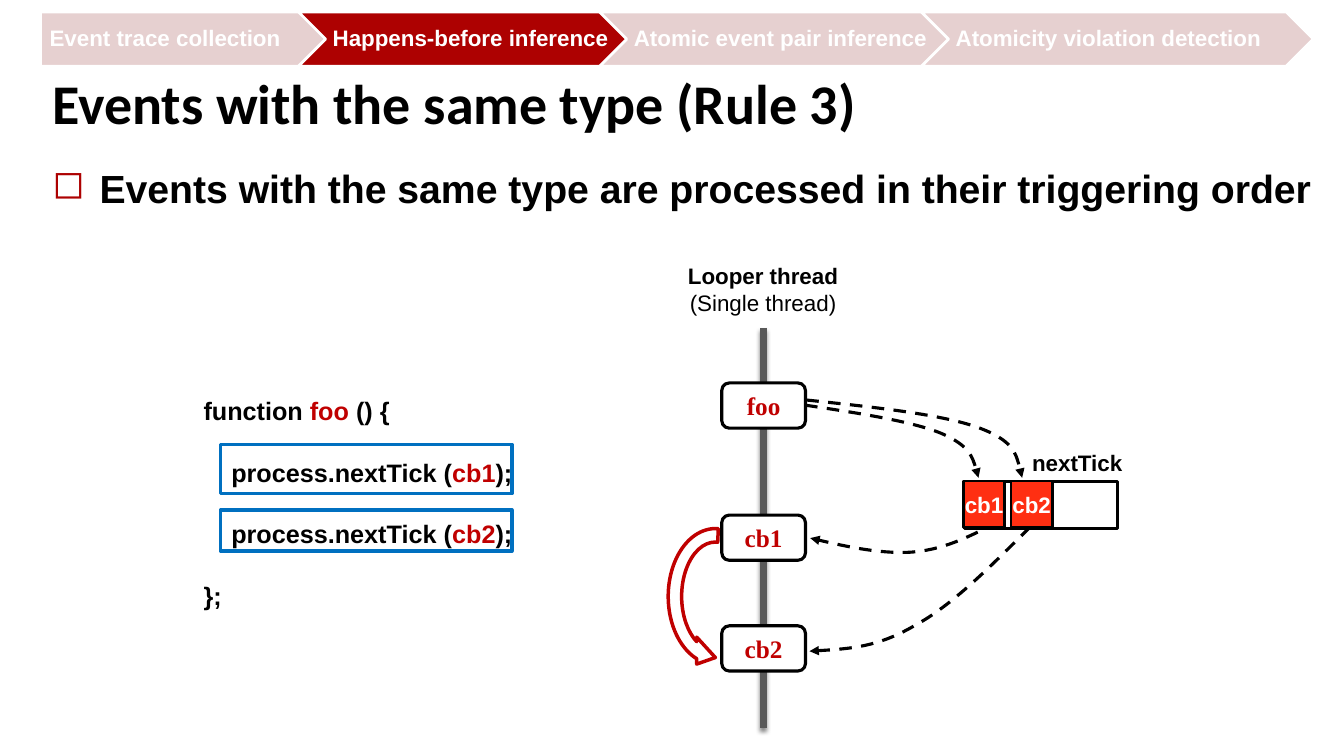
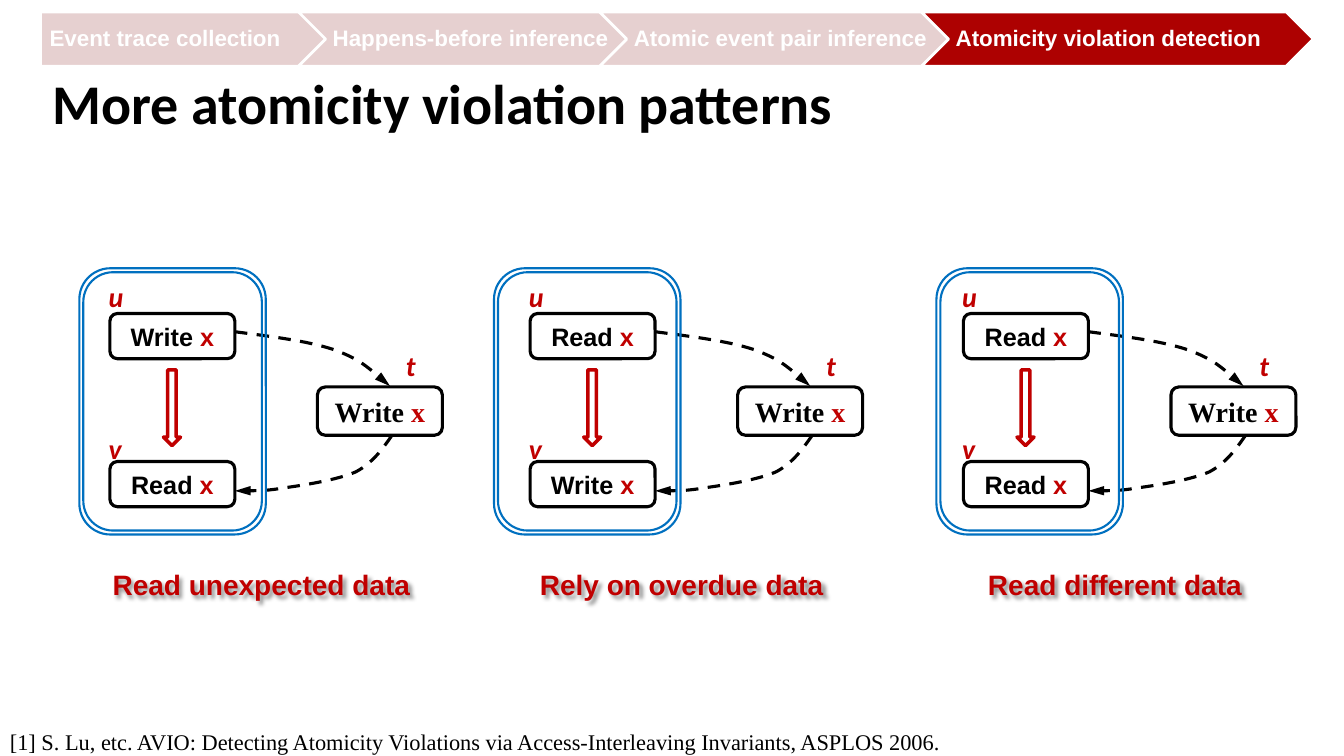
from dataclasses import dataclass
from typing import NamedTuple, Optional

from lxml import etree
from pptx import Presentation
from pptx.dml.color import RGBColor
from pptx.enum.dml import MSO_LINE
from pptx.enum.shapes import MSO_CONNECTOR, MSO_SHAPE
from pptx.enum.text import MSO_ANCHOR, PP_ALIGN
from pptx.oxml.ns import qn
from pptx.util import Cm, Pt

RECT, ROUNDED = MSO_SHAPE.RECTANGLE, MSO_SHAPE.ROUNDED_RECTANGLE
PLATE, CHEVRON = MSO_SHAPE.PENTAGON, MSO_SHAPE.CHEVRON
DOWN_ARROW, CIRCULAR_ARROW = MSO_SHAPE.DOWN_ARROW, MSO_SHAPE.CIRCULAR_ARROW
FRAME = MSO_SHAPE.FLOWCHART_ALTERNATE_PROCESS
STRAIGHT, DASH = MSO_CONNECTOR.STRAIGHT, MSO_LINE.DASH
TOP, MIDDLE = MSO_ANCHOR.TOP, MSO_ANCHOR.MIDDLE
LEFT, CENTER = PP_ALIGN.LEFT, PP_ALIGN.CENTER

COLORS = {
    "black": "000000",
    "white": "FFFFFF",
    "active": "AD0101",
    "inactive": "E6D0D0",
    "accent": "C00000",
    "blue": "0070C0",
    "thread": "595959",
    "queued": "FF2F12",
}
SANS, SERIF, TITLE_FONT = "Arial", "Times New Roman", "Calibri"
TITLE_ONLY = 5


class Box(NamedTuple):
    """A place on the slide, in centimetres."""
    left: float
    top: float
    width: float
    height: float


class Step(NamedTuple):
    label: str
    left: float
    width: float


@dataclass(frozen=True)
class TextStyle:
    font: str = SANS
    size: float = 18
    color: str = "black"
    bold: bool = True
    italic: bool = False
    align: PP_ALIGN = LEFT
    anchor: MSO_ANCHOR = TOP


@dataclass(frozen=True)
class Pattern:
    left: float
    frame_left: float
    first: str
    second: str
    caption: str


STEPS = (
    Step("Event trace collection", 1.02, 9.7),
    Step("Happens-before inference", 7.52, 10.8),
    Step("Atomic event pair inference", 15.11, 11.3),
    Step("Atomicity violation detection", 23.22, 9.88),
)
PATTERNS = (
    Pattern(2.77, 2.0, "Write |x", "Read |x", "Read unexpected data"),
    Pattern(13.36, 12.45, "Read |x", "Write |x", "Rely on overdue data"),
    Pattern(24.28, 23.6, "Read |x", "Read |x", "Read different data"),
)

TITLE = TextStyle(TITLE_FONT, 40)
STEP_TEXT = TextStyle(size=16, color="white", anchor=MIDDLE)
CELL_TEXT = TextStyle(size=16, color="white", align=CENTER, anchor=MIDDLE)
NODE_TEXT = TextStyle(SERIF, 18, "accent", align=CENTER, anchor=MIDDLE)
REMOTE_TEXT = TextStyle(SERIF, 20, align=CENTER, anchor=MIDDLE)
ACCESS_TEXT = TextStyle(align=CENTER, anchor=MIDDLE)
EVENT_NAME = TextStyle(TITLE_FONT, 20, "accent", italic=True)
CAPTION = TextStyle(size=20, color="accent", align=CENTER, anchor=MIDDLE)

CURVES = (
    ((20.29, 10.21), (21.64, 10.41), (22.99, 10.62), (23.72, 10.92),
     (24.43, 11.23), (24.56, 11.63), (24.66, 12.04)),
    ((20.32, 10.08), (22.02, 10.26), (23.72, 10.44), (24.64, 10.77),
     (25.55, 11.1), (25.65, 11.56), (25.76, 12.04)),
    ((24.64, 13.41), (24.1, 13.67), (23.55, 13.89), (22.86, 13.92),
     (22.15, 13.94), (21.29, 13.77), (20.42, 13.56)),
    ((25.96, 13.28), (24.97, 14.27), (23.98, 15.27), (23.04, 15.77),
     (22.12, 16.31), (21.26, 16.36), (20.4, 16.41)),
)
# Measured from the left edge of a pattern
PATTERN_CURVES = (
    ((3.15, 8.36), (4.06, 8.48), (4.98, 8.59), (5.64, 8.81),
     (6.27, 9.04), (6.68, 9.4), (7.06, 9.73)),
    ((7.11, 10.97), (6.88, 11.3), (6.63, 11.66), (6.2, 11.89), (5.74, 12.09),
     (4.93, 12.22), (4.42, 12.29), (3.94, 12.37), (3.53, 12.37), (3.15, 12.37)),
)


def rgb(name: str) -> RGBColor:
    return RGBColor.from_string(COLORS[name])


def write(tf, lines: tuple[str, ...], style: TextStyle) -> None:
    """Write one paragraph per line; every second part between bars is in the accent colour."""
    tf.vertical_anchor = style.anchor
    for i, line in enumerate(lines):
        p = tf.paragraphs[0] if i == 0 else tf.add_paragraph()
        p.alignment = style.align
        for j, part in enumerate(line.split("|")):
            r = p.add_run()
            r.text = part
            r.font.name, r.font.size = style.font, Pt(style.size)
            r.font.bold, r.font.italic = style.bold, style.italic
            r.font.color.rgb = rgb("accent" if j % 2 else style.color)


def add_text(s, box: Box, lines: tuple[str, ...], style: TextStyle):
    sp = s.shapes.add_textbox(*map(Cm, box))
    sp.text_frame.word_wrap = True
    write(sp.text_frame, lines, style)
    return sp


def add_box(s, kind: MSO_SHAPE, box: Box, fill: Optional[str], line: str,
            weight: float, text: str = "", style: TextStyle = NODE_TEXT):
    sp = s.shapes.add_shape(kind, *map(Cm, box))
    sp.shadow.inherit = False
    if fill:
        sp.fill.solid()
        sp.fill.fore_color.rgb = rgb(fill)
    else:
        sp.fill.background()
    sp.line.color.rgb, sp.line.width = rgb(line), Pt(weight)
    if text:
        write(sp.text_frame, (text,), style)
    return sp


def add_curve(s, points, dx: float = 0, head_length: str = "med") -> None:
    """Draw a dashed Bézier arrow: a start, then three points per segment."""
    (x, y), *rest = [(Cm(px + dx), Cm(py)) for px, py in points]
    builder = s.shapes.build_freeform(x, y)
    builder.add_line_segments(rest, close=False)
    sp = builder.convert_to_shape()
    sp.shadow.inherit = False
    sp.fill.background()
    sp.line.color.rgb, sp.line.width = rgb("black"), Pt(2.25)
    sp.line.dash_style = DASH
    segments = sp._element.xpath(".//a:lnTo")
    for i in range(0, len(segments), 3):
        bezier = etree.Element(qn("a:cubicBezTo"))
        segments[i].addprevious(bezier)
        for segment in segments[i:i + 3]:
            bezier.append(segment[0])
            segment.getparent().remove(segment)
    etree.SubElement(sp.line._get_or_add_ln(), qn("a:tailEnd"),
                     type="triangle", w="med", len=head_length)


def add_shadow(sp, blur: float, distance: float, degrees: int, alpha: int) -> None:
    effects = etree.SubElement(sp._element.spPr, qn("a:effectLst"))
    shadow = etree.SubElement(
        effects, qn("a:outerShdw"), blurRad=str(Pt(blur)), dist=str(Pt(distance)),
        dir=str(degrees * 60000), algn="ctr", rotWithShape="0")
    color = etree.SubElement(shadow, qn("a:srgbClr"), val=COLORS["black"])
    etree.SubElement(color, qn("a:alpha"), val=str(alpha * 1000))


def indent(p, margin: float, first: float = 0):
    pPr = p._p.get_or_add_pPr()
    pPr.set("marL", str(Cm(margin)))
    pPr.set("indent", str(Cm(first)))
    return pPr


def add_steps(s, active: int) -> None:
    for i, step in enumerate(STEPS):
        sp = add_box(s, CHEVRON if i else PLATE, Box(step.left, 0.3, step.width, 1.37),
                     "active" if i == active else "inactive", "white", 2,
                     step.label, STEP_TEXT)
        tf = sp.text_frame
        tf.margin_left, tf.margin_right = Cm(0.18 if i else 0.23), Cm(0.05)
        tf.paragraphs[0].line_spacing = 0.9


def new_slide(prs, title: str):
    s = prs.slides.add_slide(prs.slide_layouts[TITLE_ONLY])
    sp = s.shapes.title
    sp.left, sp.top, sp.width, sp.height = map(Cm, Box(1.07, 1.65, 31.75, 2.36))
    write(sp.text_frame, (title,), TITLE)
    sp.text_frame.paragraphs[0].line_spacing = Pt(46.7)
    return s


def build_rule_slide(prs) -> None:
    s = new_slide(prs, "Events with the same type (Rule 3)")
    sp = add_text(s, Box(1.07, 4.01, 32.56, 2.64),
                  ("Events with the same type are processed in their triggering order",),
                  TextStyle(size=28))
    p = sp.text_frame.paragraphs[0]
    p.space_before = Pt(8)
    pPr = indent(p, 1.19, -1.19)
    bullet_color = etree.SubElement(pPr, qn("a:buClr"))
    etree.SubElement(bullet_color, qn("a:srgbClr"), val=COLORS["active"])
    etree.SubElement(pPr, qn("a:buChar"), char="◻")

    code = add_text(s, Box(4.88, 9.96, 9.47, 5.31),
                    ("function |foo| () {", "process.nextTick (|cb1|);",
                     "process.nextTick (|cb2|);", "};"), TextStyle())
    code.text_frame.margin_top = 0
    for p in code.text_frame.paragraphs:
        p.space_after = Pt(22.4)
    for p in code.text_frame.paragraphs[1:3]:
        indent(p, 0.7)
    for top, height in ((11.2, 1.24), (12.85, 1.04)):
        add_box(s, RECT, Box(5.56, top, 7.34, height), None, "blue", 2.5)

    thread = s.shapes.add_connector(STRAIGHT, Cm(19.23), Cm(8.26), Cm(19.23), Cm(18.34))
    thread.line.color.rgb, thread.line.width = rgb("thread"), Pt(5)
    add_shadow(thread, 3, 2.4, 90, 45)
    sp = add_text(s, Box(16.84, 6.48, 4.78, 1.63), ("Looper thread", "(Single thread)"),
                  TextStyle(size=16, align=CENTER))
    sp.text_frame.paragraphs[1].runs[0].font.bold = False
    for name, top in (("foo", 9.65), ("cb1", 12.98), ("cb2", 15.77)):
        add_box(s, ROUNDED, Box(18.19, top, 2.11, 1.14), "white", "black", 2.25, name)
    for points in CURVES:
        add_curve(s, points)

    order = add_box(s, CIRCULAR_ARROW, Box(16.15, 13.67, 3.76, 2.72), None, "accent", 2.5)
    for i, value in enumerate((0.125, 11.42, 204.58, 106.53, 0.125)):
        order.adjustments[i] = value
    order.rotation = 90
    order._element.spPr.get_or_add_xfrm().set("flipV", "1")

    add_box(s, RECT, Box(24.31, 12.14, 3.86, 1.17), "white", "black", 2)
    add_text(s, Box(25.76, 11.2, 3.28, 0.94), ("nextTick",), TextStyle(size=16))
    for i, name in enumerate(("cb1", "cb2")):
        cell = add_box(s, RECT, Box(24.28 + 1.2 * i, 12.12, 1.04, 1.17),
                       "queued", "black", 2, name, CELL_TEXT)
        cell.text_frame.word_wrap = False
    add_steps(s, 1)


def add_pattern(s, pattern: Pattern) -> None:
    x = pattern.left
    add_box(s, ROUNDED, Box(x + 5.23, 9.75, 3.15, 1.22), "white", "black", 2.25,
            "Write |x", REMOTE_TEXT)
    for points in PATTERN_CURVES:
        add_curve(s, points, x, "lg")
    for text, top in ((pattern.first, 7.9), (pattern.second, 11.63)):
        add_box(s, ROUNDED, Box(x, top, 3.15, 1.14), "white", "black", 2.25,
                text, ACCESS_TEXT)
    for name, dx, top in (("u", -0.28, 6.93), ("v", -0.28, 10.74), ("t", 7.21, 8.66)):
        add_text(s, Box(x + dx, top, 1.15, 1.12), (name,), EVENT_NAME)
    add_box(s, DOWN_ARROW, Box(x + 1.35, 9.32, 0.43, 1.91), None, "accent", 2.5)
    for inset in (0.1, 0):
        add_box(s, FRAME, Box(pattern.frame_left + inset, 6.76 + inset,
                              4.7 - 2 * inset, 6.71 - 2 * inset), None, "blue", 1.5)
    caption = add_text(s, Box(x - 0.75, 14.17, 9.14, 1.12), (pattern.caption,), CAPTION)
    add_shadow(caption, 3, 3, 45, 43)


def build_patterns_slide(prs) -> None:
    s = new_slide(prs, "More atomicity violation patterns")
    for pattern in PATTERNS:
        add_pattern(s, pattern)
    sp = add_text(s, Box(0, 18.06, 33.87, 1.04),
                  ("[1] S. Lu, etc. AVIO: Detecting Atomicity Violations via "
                   "Access-Interleaving Invariants, ASPLOS 2006.",),
                  TextStyle(SERIF, 16, bold=False))
    sp.text_frame.paragraphs[0].line_spacing = 1.25
    add_steps(s, 3)


def main() -> None:
    prs = Presentation()
    prs.slide_width, prs.slide_height = Cm(33.87), Cm(19.05)
    build_rule_slide(prs)
    build_patterns_slide(prs)
    prs.save("out.pptx")


if __name__ == "__main__":
    main()
